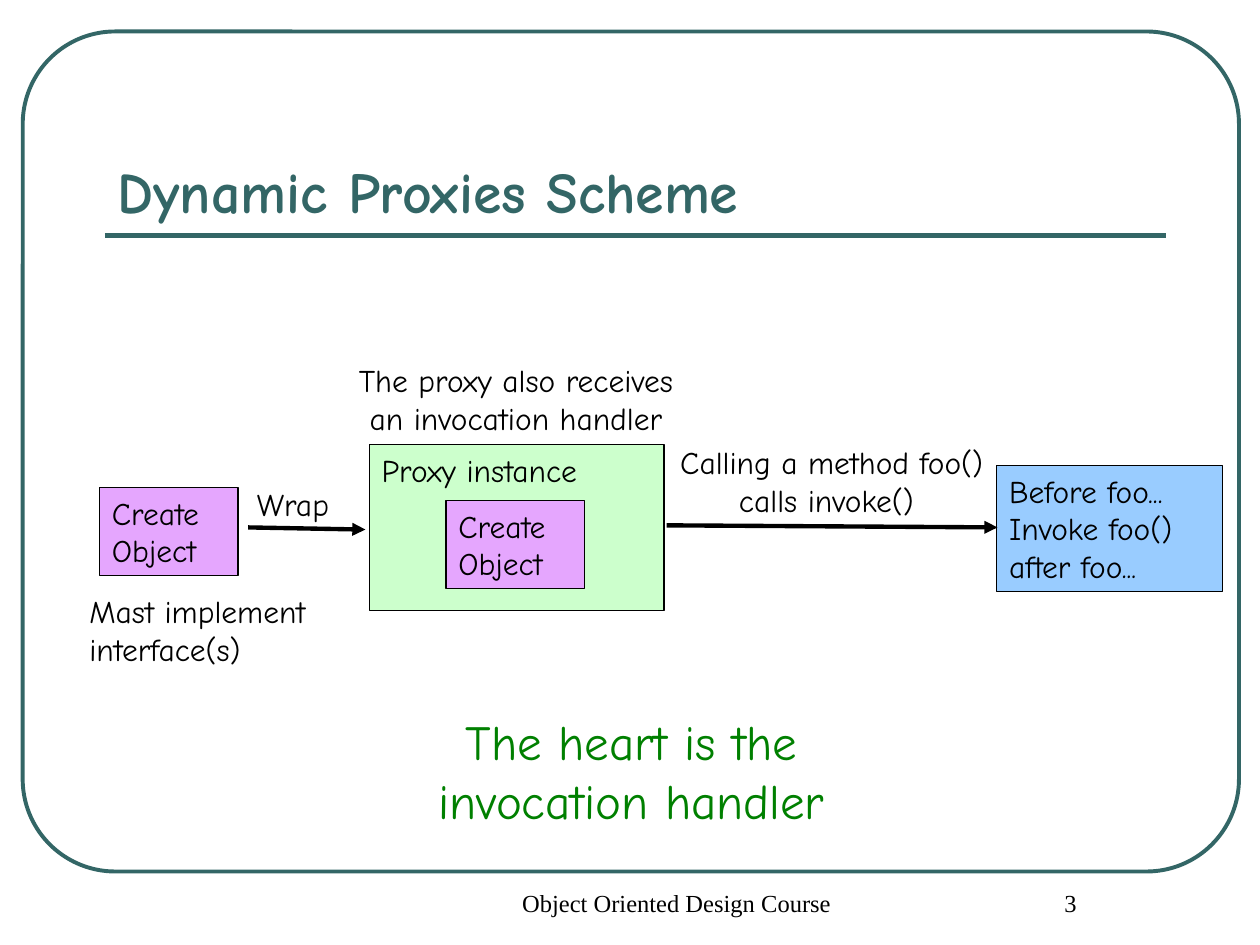
import pptx
import pptx.util
from lxml import etree
from pptx.dml.color import RGBColor
from pptx.enum.shapes import MSO_CONNECTOR, MSO_SHAPE
from pptx.enum.text import MSO_ANCHOR, PP_ALIGN
from pptx.oxml.ns import qn

Pt = pptx.util.Pt

TEAL = RGBColor(0x33, 0x66, 0x66)
BLACK = RGBColor(0x00, 0x00, 0x00)
GREEN = RGBColor(0x00, 0x80, 0x00)
PURPLE = RGBColor(0xE5, 0xA6, 0xFE)
PALE_GREEN = RGBColor(0xCC, 0xFF, 0xCC)
SKY_BLUE = RGBColor(0x99, 0xCC, 0xFF)

BODY_FONT = "Comic Neue"
FOOTER_FONT = "Times New Roman"
OBJECT_SIZE = (79.2, 50.4)


class SlideBuilder:
    def __init__(self, slide):
        self.slide = slide
        self.font = {"name": BODY_FONT, "size": Pt(18), "bold": False}
        self.margins = {
            "margin_left": Pt(7.2),
            "margin_right": Pt(7.2),
            "margin_top": Pt(3.6),
            "margin_bottom": Pt(3.6),
        }

    def set_text(self, shape, text, color=BLACK, align=PP_ALIGN.LEFT,
                 anchor=MSO_ANCHOR.TOP, indent=0, **font_format):
        """Fill a shape with one paragraph; a vertical tab breaks the line."""
        frame = shape.text_frame
        frame.word_wrap = True
        frame.vertical_anchor = anchor
        for name, value in self.margins.items():
            setattr(frame, name, value)
        frame.margin_left += Pt(indent)
        paragraph = frame.paragraphs[0]
        paragraph.text = text
        paragraph.alignment = align
        for run in paragraph.runs:
            for name, value in {**self.font, **font_format}.items():
                setattr(run.font, name, value)
            run.font.color.rgb = color

    def text(self, left, top, width, height, text, **style):
        shape = self.slide.shapes.add_textbox(
            Pt(left), Pt(top), Pt(width), Pt(height))
        self.set_text(shape, text, **style)

    def outline(self, kind, left, top, width, height, color, weight):
        shape = self.slide.shapes.add_shape(
            kind, Pt(left), Pt(top), Pt(width), Pt(height))
        shape.shadow.inherit = False
        shape.fill.background()
        shape.line.color.rgb = color
        shape.line.width = Pt(weight)
        return shape

    def box(self, left, top, width, height, text, fill):
        shape = self.outline(
            MSO_SHAPE.RECTANGLE, left, top, width, height, BLACK, 0.75)
        shape.fill.solid()
        shape.fill.fore_color.rgb = fill
        self.set_text(shape, text)

    def line(self, start, end, color, weight, arrow=False):
        points = [Pt(value) for value in (*start, *end)]
        connector = self.slide.shapes.add_connector(
            MSO_CONNECTOR.STRAIGHT, *points)
        connector.line.color.rgb = color
        connector.line.width = Pt(weight)
        properties = connector._element.spPr
        if arrow:
            etree.SubElement(properties.find(qn("a:ln")),
                             qn("a:tailEnd"), type="triangle")
        etree.SubElement(properties, qn("a:effectLst"))


def main():
    presentation = pptx.Presentation()
    presentation.slide_width = Pt(720)
    presentation.slide_height = Pt(540)
    slide = presentation.slides.add_slide(presentation.slide_layouts[6])
    builder = SlideBuilder(slide)
    center = PP_ALIGN.CENTER

    frame = builder.outline(
        MSO_SHAPE.ROUNDED_RECTANGLE, 13, 18, 695, 480, TEAL, 2.25)
    frame.adjustments[0] = 0.11
    builder.line((60, 134.6), (666, 134.6), TEAL, 3)
    builder.text(60, 42, 606, 90, "Dynamic Proxies Scheme", color=TEAL,
                 anchor=MSO_ANCHOR.BOTTOM, size=Pt(33), bold=True)

    builder.box(56.9, 278.5, *OBJECT_SIZE, "Create Object", PURPLE)
    builder.box(211, 254, 168.5, 95, "Proxy instance", PALE_GREEN)
    builder.box(254.9, 286, *OBJECT_SIZE, "Create Object", PURPLE)
    builder.box(569.5, 266, 129, 72,
                "Before foo...\vInvoke foo()\vafter foo...", SKY_BLUE)

    builder.line((141.8, 301.4), (208.8, 302.6), BLACK, 2.5, arrow=True)
    builder.line((381, 300.2), (570, 301.4), BLACK, 2.5, arrow=True)

    builder.text(185.8, 203, 218, 50.4,
                 "The proxy also receives an invocation handler", align=center)
    builder.text(139.7, 273.6, 67.7, 28.8, "Wrap")
    builder.text(378.7, 249.5, 193, 50.4,
                 "Calling a method foo() calls invoke() ", align=center)
    builder.text(44, 334.8, 160.6, 50.4, "Mast implement interface(s)")
    builder.text(199.5, 403.2, 322.5, 75, "The heart is the invocation handler",
                 color=GREEN, align=center, size=Pt(28))

    footer = {"align": center, "indent": 17.3,
              "name": FOOTER_FONT, "size": Pt(14)}
    builder.text(264, 504, 228, 36, "Object Oriented Design Course", **footer)
    builder.text(540, 504, 126, 36, "3", **footer)

    presentation.save("out.pptx")


if __name__ == "__main__":
    main()
